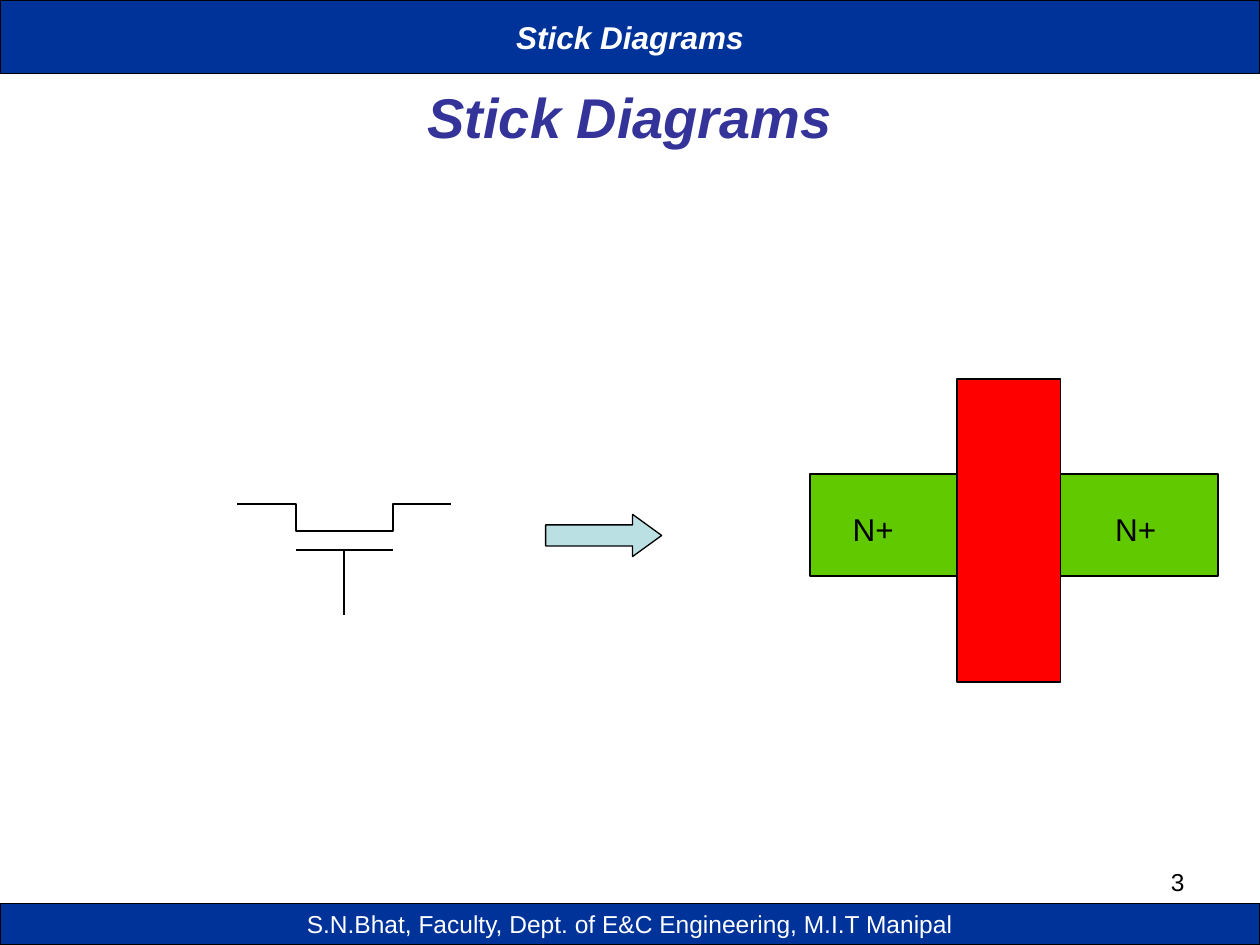
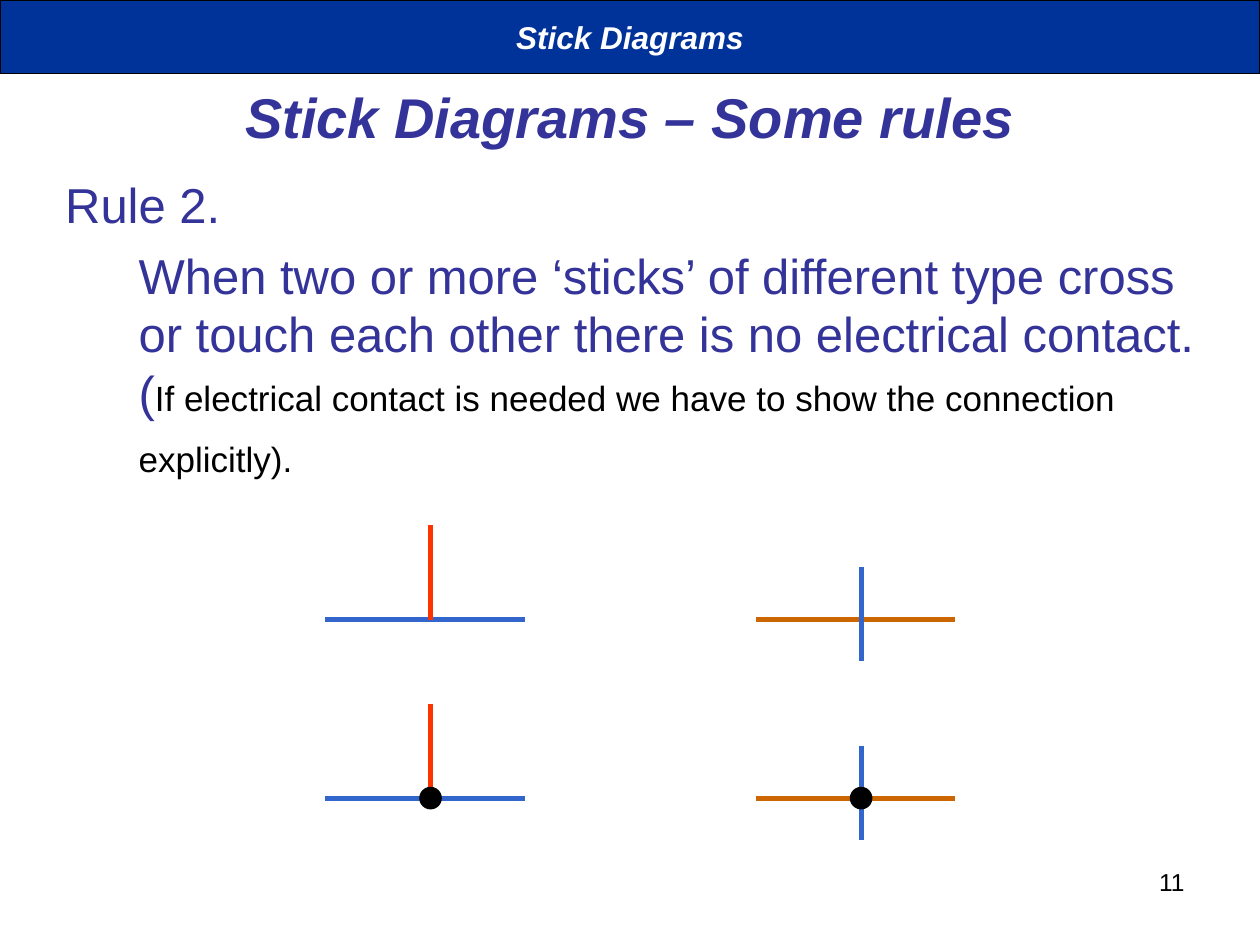
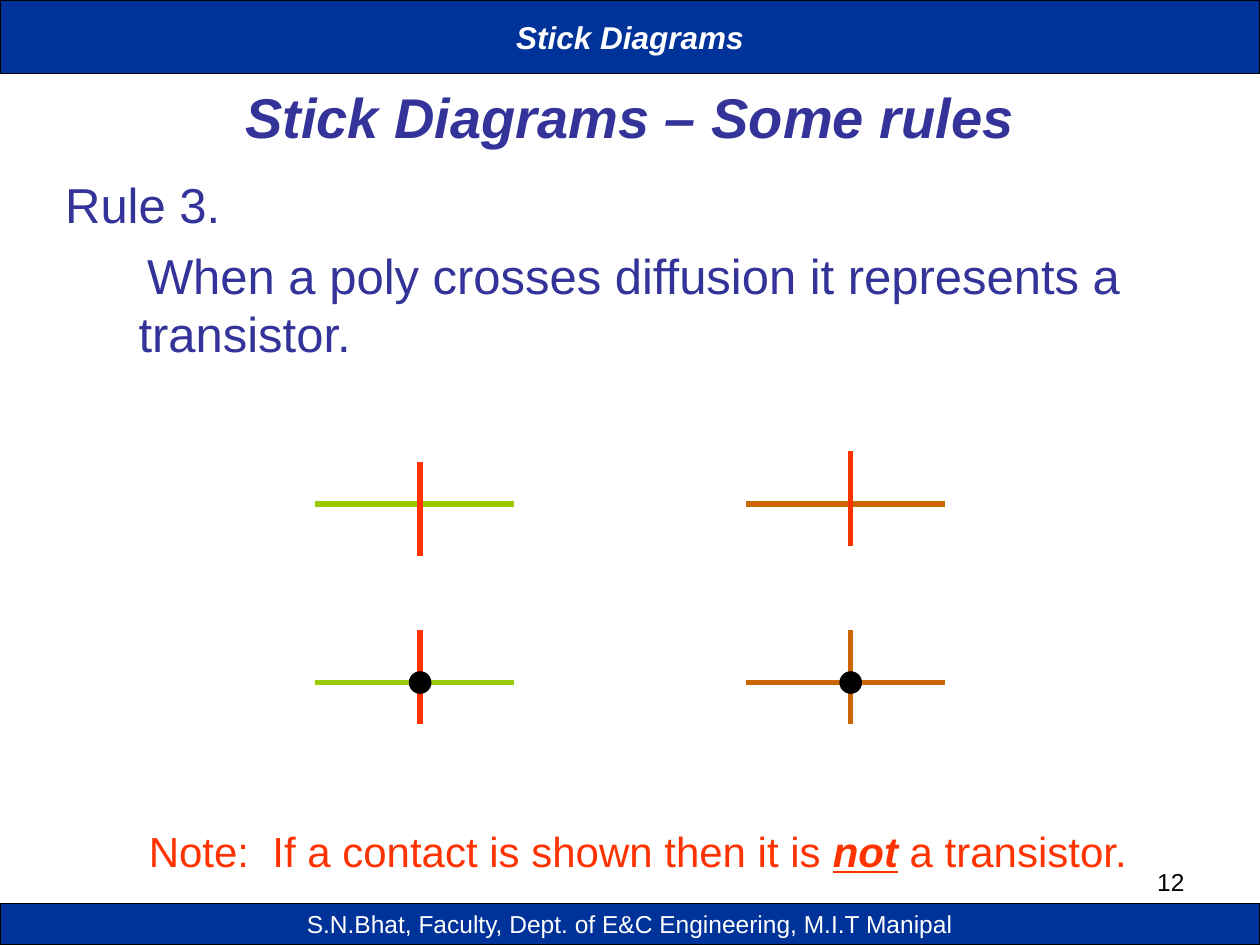
from dataclasses import dataclass

from lxml import etree
from pptx import Presentation
from pptx.dml.color import RGBColor
from pptx.enum.shapes import MSO_CONNECTOR, MSO_SHAPE
from pptx.enum.text import MSO_ANCHOR, MSO_AUTO_SIZE, PP_ALIGN
from pptx.oxml.ns import qn
from pptx.util import Cm, Pt

STRAIGHT = MSO_CONNECTOR.STRAIGHT
RECTANGLE, ELLIPSE, ARROW = MSO_SHAPE.RECTANGLE, MSO_SHAPE.OVAL, MSO_SHAPE.RIGHT_ARROW
TOP, MIDDLE = MSO_ANCHOR.TOP, MSO_ANCHOR.MIDDLE
LEFT, CENTER, RIGHT = PP_ALIGN.LEFT, PP_ALIGN.CENTER, PP_ALIGN.RIGHT
NO_FIT = MSO_AUTO_SIZE.NONE
TITLE_AND_BODY, TITLE_ONLY = 1, 5


@dataclass(frozen=True)
class Theme:
    font: str = "Arial"
    black: str = "000000"
    white: str = "FFFFFF"
    band: str = "003399"
    heading: str = "333399"
    diffusion: str = "60C900"
    gate: str = "FF0000"
    arrow: str = "BBE0E3"
    blue: str = "3366CC"
    red: str = "FF3300"
    brown: str = "CC6600"
    green: str = "99CC00"
    title_size: int = 32
    body_size: int = 28
    note_size: int = 24
    aside_size: int = 20
    label_size: int = 18
    small_size: int = 14
    stick_width: float = 3
    symbol_width: float = 1.13
    outline_width: float = 1
    thin_width: float = 0.75


THEME = Theme()

BAND_TEXT = "Stick Diagrams"
FOOTER_TEXT = "S.N.Bhat, Faculty, Dept. of E&C Engineering, M.I.T Manipal"
RULES_TITLE = "Stick Diagrams – Some rules"
TOP_BAND = (0, 0, 25.4, 1.48)
FOOTER_BAND = (0, 18.21, 25.4, 0.84)
TITLE_BOX = (1.27, 0.76, 22.86, 3.18)
NUMBER_BOX = (18.21, 17.35, 5.92, 1.32)
NOTE_BOX = (2.75, 16.51, 20.27, 1.27)

CHANNEL = [(5.64, 10.16), (5.97, 10.16), (5.97, 10.71),
           (7.92, 10.71), (7.92, 10.16), (8.26, 10.16)]
SYMBOL_LINES = [(5.97, 11.08, 7.92, 11.08), (6.94, 11.08, 6.94, 12.39),
                (8.26, 10.16, 9.09, 10.16), (4.78, 10.16, 5.64, 10.16)]
ARROW_BOX = (11, 10.37, 2.34, 0.85)
TRANSISTOR = [((16.33, 9.55, 8.23, 2.07), THEME.diffusion),
              ((19.29, 7.64, 2.09, 6.11), THEME.gate)]
TERMINAL_LEFTS = [16.94, 22.23]

STICK_LENGTH, STICK_HEIGHT, CROSSING = 4.02, 1.9, 2.12
COLUMN_GAP, ROW_GAP, DOT = 8.68, 3.6, 0.43
TOUCH, HIGH, LOW = STICK_HEIGHT, 1.06, 0.85

RULES = [
    {
        "number": "11",
        "heading": "Rule 2.",
        "spans": [
            ("When two or more ‘sticks’ of different type cross or touch each other "
             "there is no electrical contact.\v(", THEME.body_size, THEME.heading),
            ("If electrical contact is needed we have to show the connection explicitly).",
             THEME.aside_size, THEME.black),
        ],
        "first_indent": 0,
        "body": (1.06, 3.39, 23.92, 6.77),
        "origin": (6.56, 12.49),
        "crosses": [
            [(THEME.blue, THEME.red, TOUCH), (THEME.brown, THEME.blue, HIGH)],
            [(THEME.blue, THEME.red, TOUCH), (THEME.brown, THEME.blue, HIGH)],
        ],
        "note": [],
        "footer": False,
    },
    {
        "number": "12",
        "heading": "Rule 3.",
        "spans": [("When a poly crosses diffusion it represents a transistor.",
                   THEME.body_size, THEME.heading)],
        "first_indent": 0.17,
        "body": (1.06, 3.39, 22.86, 4.66),
        "origin": (6.35, 10.16),
        "crosses": [
            [(THEME.green, THEME.red, LOW), (THEME.brown, THEME.red, HIGH)],
            [(THEME.green, THEME.red, HIGH), (THEME.brown, THEME.brown, HIGH)],
        ],
        "note": [("Note:  If a contact is shown then it is ", False),
                 ("not", True), (" a transistor.", False)],
        "footer": True,
    },
]


def style_font(font, size, color, strong=False):
    font.name = THEME.font
    font.size = Pt(size)
    font.color.rgb = RGBColor.from_string(color)
    font.bold = font.italic = strong


def style_line(line, color, width):
    line.color.rgb = RGBColor.from_string(color)
    line.width = Pt(width)


def place(shape, area):
    shape.left, shape.top, shape.width, shape.height = map(Cm, area)


def set_text(shape, text, size, color, align=LEFT, anchor=TOP, strong=False, wrap=True):
    frame = shape.text_frame
    frame.word_wrap = wrap
    frame.auto_size = NO_FIT
    frame.vertical_anchor = anchor
    paragraph = frame.paragraphs[0]
    paragraph.text = text
    paragraph.alignment = align
    style_font(paragraph.font, size, color, strong)
    return paragraph


def add_label(page, area, text, size, color=THEME.black, align=LEFT, wrap=True):
    box = page.shapes.add_textbox(*map(Cm, area))
    return set_text(box, text, size, color, align, wrap=wrap)


def add_block(page, kind, area, fill, width=THEME.thin_width):
    block = page.shapes.add_shape(kind, *map(Cm, area))
    block.shadow.inherit = False
    block.fill.solid()
    block.fill.fore_color.rgb = RGBColor.from_string(fill)
    style_line(block.line, THEME.black, width)
    return block


def add_stick(page, ends, color, width):
    stick = page.shapes.add_connector(STRAIGHT, *map(Cm, ends))
    style_line(stick.line, color, width)
    etree.SubElement(stick._element.spPr, qn("a:effectLst"))


def add_page(deck, layout, title, number, footer):
    page = deck.slides.add_slide(deck.slide_layouts[layout])
    place(page.shapes.title, TITLE_BOX)
    set_text(page.shapes.title, title, THEME.title_size, THEME.heading,
             CENTER, MIDDLE, strong=True)
    bands = [(TOP_BAND, BAND_TEXT, THEME.label_size, True)]
    if footer:
        bands.append((FOOTER_BAND, FOOTER_TEXT, THEME.small_size, False))
    for area, text, size, strong in bands:
        band = add_block(page, RECTANGLE, area, THEME.band)
        set_text(band, text, size, THEME.white, CENTER, MIDDLE, strong, wrap=False)
    add_label(page, NUMBER_BOX, number, THEME.small_size, align=RIGHT)
    return page


def add_symbol(page):
    points = [(Cm(x), Cm(y)) for x, y in CHANNEL]
    builder = page.shapes.build_freeform(*points[0])
    builder.add_line_segments(points[1:], close=False)
    channel = builder.convert_to_shape()
    channel.shadow.inherit = False
    channel.fill.background()
    style_line(channel.line, THEME.black, THEME.symbol_width)
    for ends in SYMBOL_LINES:
        add_stick(page, ends, THEME.black, THEME.symbol_width)


def add_transistor_page(deck):
    page = add_page(deck, TITLE_ONLY, BAND_TEXT, "3", True)
    add_symbol(page)
    arrow = add_block(page, ARROW, ARROW_BOX, THEME.arrow)
    arrow.adjustments[1] = 0.69
    for area, fill in TRANSISTOR:
        add_block(page, RECTANGLE, area, fill, THEME.outline_width)
    for left in TERMINAL_LEFTS:
        add_label(page, (left, 10.16, 1.9, 1.02), "N+", THEME.label_size)


def format_item(paragraph, margin, indent):
    paragraph.space_before = Pt(7)
    paragraph.line_spacing = Pt(33.5)
    properties = paragraph._p.get_or_add_pPr()
    properties.set("marL", str(Cm(margin)))
    properties.set("indent", str(Cm(indent)))
    etree.SubElement(properties, qn("a:buNone"))


def fill_body(body, rule):
    place(body, rule["body"])
    heading = set_text(body, rule["heading"], THEME.body_size, THEME.heading)
    statement = body.text_frame.add_paragraph()
    for text, size, color in rule["spans"]:
        first, *rest = text.split("\v")
        pieces = [first] + rest
        for index, piece in enumerate(pieces):
            if index:
                statement.add_line_break()
            span = statement.add_run()
            span.text = piece
            style_font(span.font, size, color)
    for paragraph in (heading, statement):
        paragraph._p.get_or_add_pPr()
    for child in heading._p.pPr.findall(qn("a:defRPr")):
        heading._p.pPr.remove(child)
    style_font(heading.runs[0].font, THEME.body_size, THEME.heading)
    format_item(heading, 0, 0)
    format_item(statement, 1.48, rule["first_indent"])


def add_crosses(page, rule):
    left, top = rule["origin"]
    for row, crosses in enumerate(rule["crosses"]):
        for column, (across, upright, above) in enumerate(crosses):
            start, y = left + column * COLUMN_GAP, top + row * ROW_GAP
            x = start + CROSSING
            add_stick(page, (start, y, start + STICK_LENGTH, y), across, THEME.stick_width)
            add_stick(page, (x, y - above, x, y - above + STICK_HEIGHT),
                      upright, THEME.stick_width)
            if row:
                add_block(page, ELLIPSE, (x - DOT / 2, y - DOT / 2, DOT, DOT), THEME.black)


def add_rule_page(deck, rule):
    page = add_page(deck, TITLE_AND_BODY, RULES_TITLE, rule["number"], rule["footer"])
    fill_body(page.placeholders[1], rule)
    add_crosses(page, rule)
    if rule["note"]:
        note = add_label(page, NOTE_BOX, "", THEME.note_size, THEME.red, wrap=False)
        for text, strong in rule["note"]:
            span = note.add_run()
            span.text = text
            style_font(span.font, THEME.note_size, THEME.red, strong)
            span.font.underline = strong


def main():
    deck = Presentation()
    deck.slide_width, deck.slide_height = Cm(25.4), Cm(19.05)
    add_transistor_page(deck)
    for rule in RULES:
        add_rule_page(deck, rule)
    deck.save("out.pptx")


if __name__ == "__main__":
    main()
